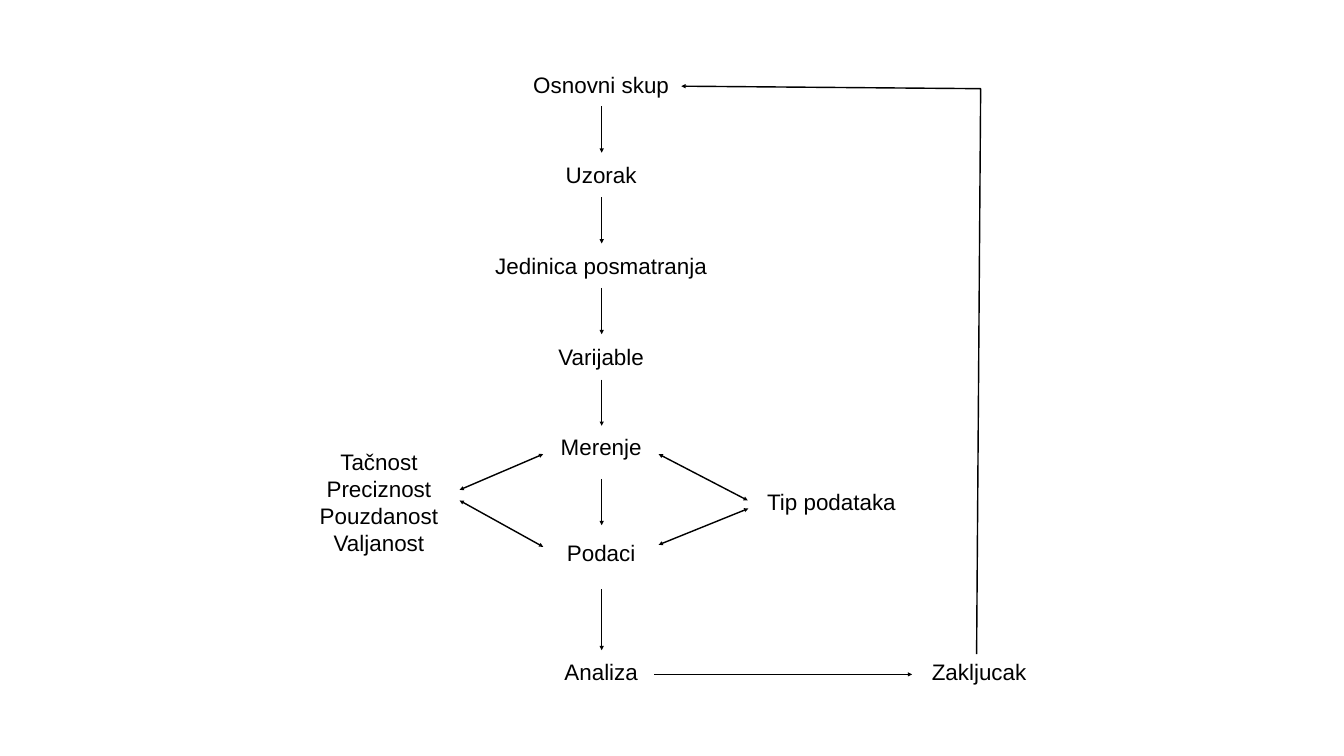
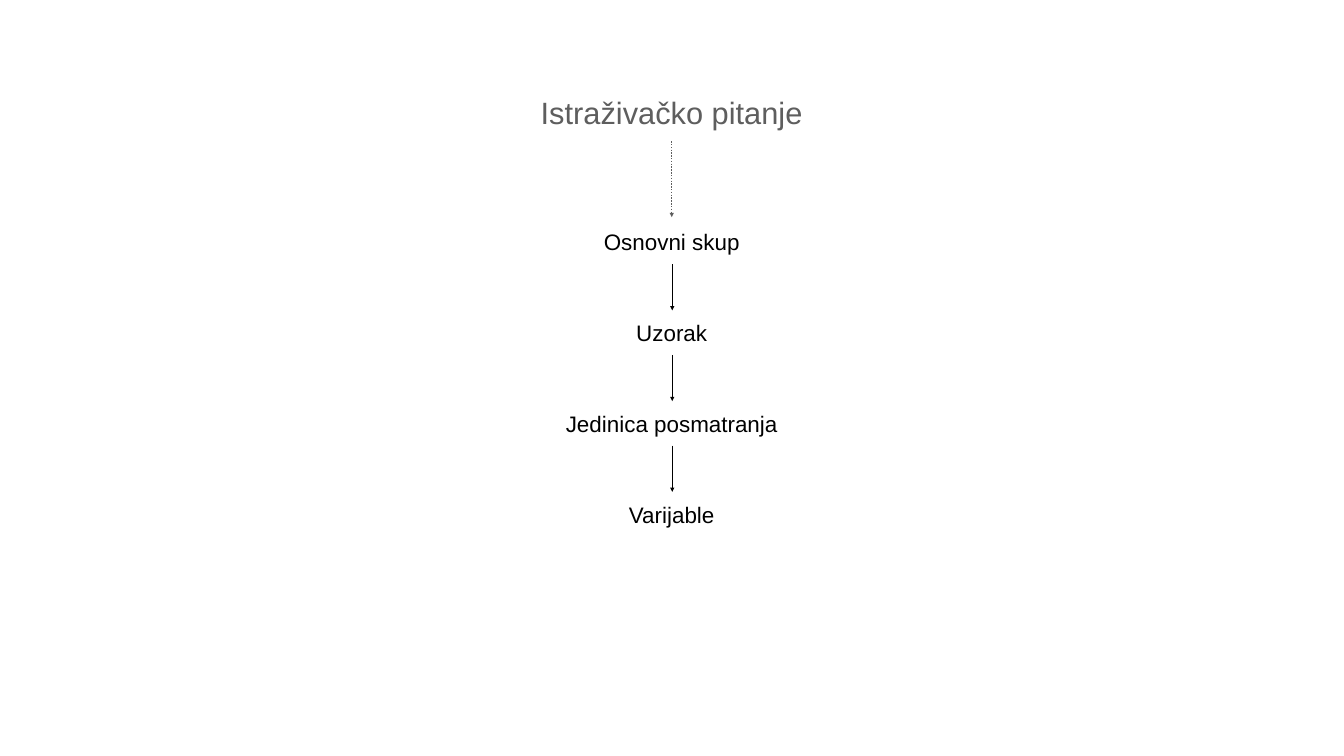
from lxml import etree
from pptx import Presentation
from pptx.dml.color import RGBColor
from pptx.enum.dml import MSO_LINE
from pptx.enum.shapes import MSO_CONNECTOR
from pptx.enum.text import MSO_ANCHOR, PP_ALIGN
from pptx.oxml.ns import qn
from pptx.util import Inches, Pt

BLACK, GREY = "000000", "5E5E5E"
FONT = "Arial"
ROW_H, PITCH = 0.74, 1.8
STEPS = [("Osnovni skup", 3.3), ("Uzorak", 1.8),
         ("Jedinica posmatranja", 5.05), ("Varijable", 2.1)]


def add_label(s, lines, cx, top, width, height=ROW_H, size=32, color=BLACK, wrap=True):
    box = s.shapes.add_textbox(Inches(cx - width / 2), Inches(top),
                               Inches(width), Inches(height))
    tf = box.text_frame
    tf.word_wrap = wrap
    tf.vertical_anchor = MSO_ANCHOR.MIDDLE
    tf.margin_left = tf.margin_right = tf.margin_top = tf.margin_bottom = Inches(0.08)
    for i, line in enumerate(lines):
        p = tf.paragraphs[0] if i == 0 else tf.add_paragraph()
        p.alignment = PP_ALIGN.CENTER
        r = p.add_run()
        r.text = line
        r.font.name = FONT
        r.font.size = Pt(size)
        r.font.color.rgb = RGBColor.from_string(color)


def add_arrow(s, points, color=BLACK, both=False):
    pts = [(Inches(x), Inches(y)) for x, y in points]
    if len(pts) == 2:
        sp = s.shapes.add_connector(MSO_CONNECTOR.STRAIGHT, *pts[0], *pts[1])
        etree.SubElement(sp._element.spPr, qn("a:effectLst"))
    else:
        fb = s.shapes.build_freeform(*pts[0])
        fb.add_line_segments(pts[1:], close=False)
        sp = fb.convert_to_shape()
        sp.fill.background()
        sp.shadow.inherit = False
    sp.line.width = Pt(2)
    sp.line.color.rgb = RGBColor.from_string(color)
    ln = sp.line._get_or_add_ln()
    for end in ("a:headEnd", "a:tailEnd") if both else ("a:tailEnd",):
        etree.SubElement(ln, qn(end), type="triangle")
    return sp


prs = Presentation()
prs.slide_width, prs.slide_height = Inches(26.67), Inches(15)
blank = prs.slide_layouts[6]
flow, question = prs.slides.add_slide(blank), prs.slides.add_slide(blank)

for s, cx, top in [(flow, 11.93, 1.3), (question, 13.33, 4.43)]:
    for i, (step, width) in enumerate(STEPS):
        y = top + PITCH * i
        add_label(s, [step], cx, y, width)
        if i < len(STEPS) - 1:
            add_arrow(s, [(cx + 0.01, y + 0.81), (cx + 0.01, y + 1.73)])

for text, cx, top, width in [
    ("Merenje", 11.93, 8.49, 2.01),
    ("Podaci", 11.93, 10.6, 1.77),
    ("Analiza", 11.93, 12.95, 1.82),
    ("Tip podataka", 16.5, 9.59, 3.17),
    ("Zakljucak", 19.43, 12.95, 2.36),
]:
    add_label(flow, [text], cx, top, width)
add_label(flow, ["Tačnost", "Preciznost", "Pouzdanost", "Valjanost"],
          7.52, 8.7, 2.9, 2.52)

for y1, y2 in [(7.53, 8.45), (9.5, 10.42), (11.69, 12.9)]:
    add_arrow(flow, [(11.94, y1), (11.94, y2)])
for start, end in [
    ((9.12, 9.72), (10.78, 9.01)),
    ((9.12, 9.93), (10.78, 10.85)),
    ((13.07, 9.01), (14.84, 9.93)),
    ((13.07, 10.81), (14.85, 10.09)),
]:
    add_arrow(flow, [start, end], both=True)
add_arrow(flow, [(12.98, 13.38), (18.1, 13.38)])
add_arrow(flow, [(19.38, 12.98), (19.46, 1.76), (13.52, 1.71)])

add_label(question, ["Istraživačko pitanje"], 13.33, 1.8, 5.41, 0.86, 44, GREY, wrap=False)
dotted = add_arrow(question, [(13.33, 2.8), (13.33, 4.31)], GREY)
dotted.line.dash_style = MSO_LINE.ROUND_DOT

prs.save("out.pptx")
